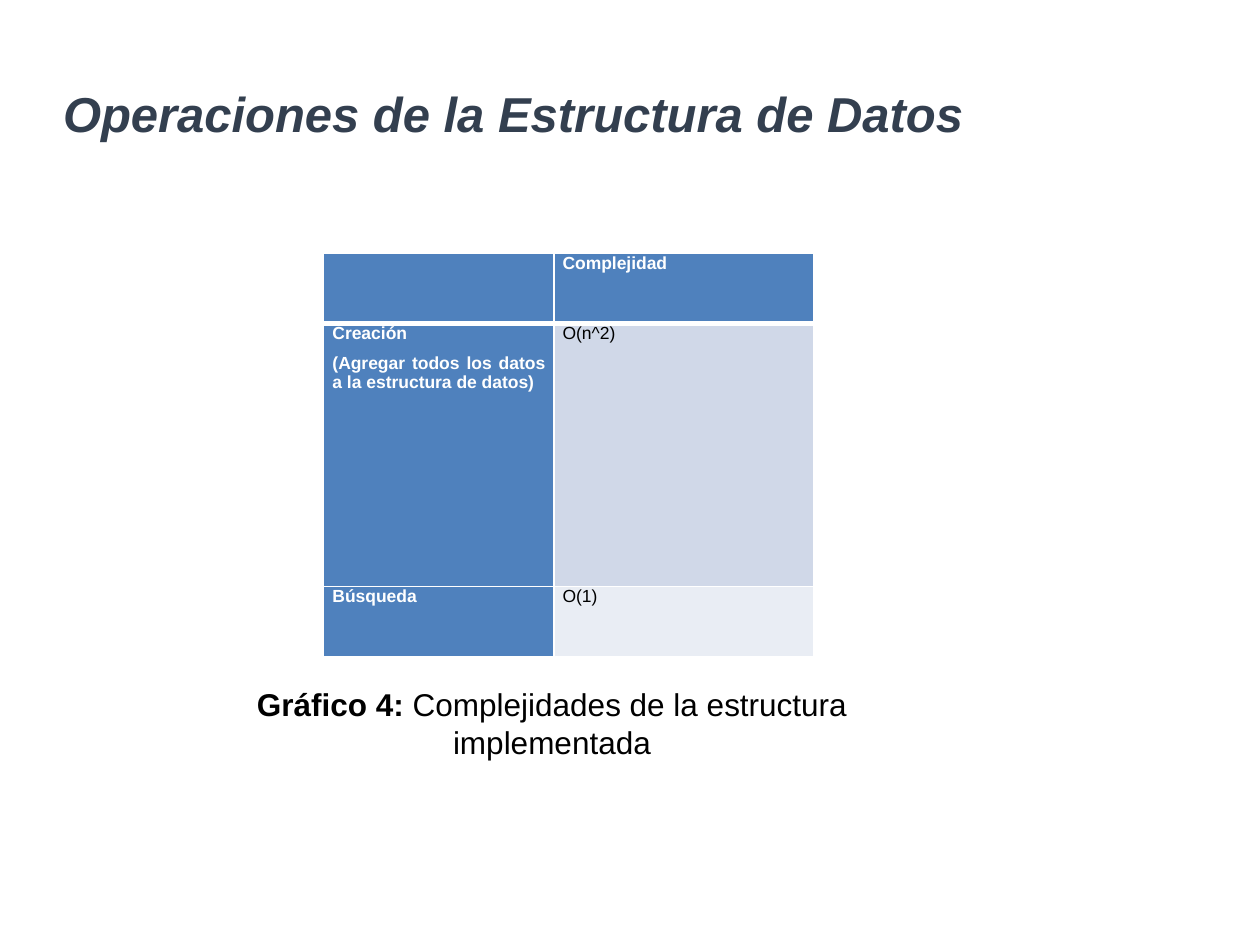
from dataclasses import dataclass
from typing import Any

from lxml.etree import SubElement
from pptx import Presentation
from pptx.dml.color import RGBColor
from pptx.enum.text import MSO_ANCHOR, MSO_AUTO_SIZE, PP_ALIGN
from pptx.oxml.ns import qn
from pptx.util import Pt

HUES = {"title": "333F4F", "head": "4F81BD", "band": "D0D8E8",
        "pale": "E9EDF4", "white": "FFFFFF", "black": "000000"}


@dataclass
class Entry:
    lines: tuple[str, ...]
    fill: str
    ink: str = "white"
    bold: bool = True


def apply(item: Any, form: dict[str, Any]) -> None:
    for name, value in form.items():
        setattr(item, name, value)


def write(para: Any, text: str, size: float, ink: str, **form: Any) -> None:
    run = para.add_run()
    run.text = text
    apply(run.font, {"name": "Arial", "size": Pt(size), **form})
    run.font.color.rgb = RGBColor.from_string(HUES[ink])


def border(cell: Any, widths: dict[str, float]) -> None:
    props = cell._tc.get_or_add_tcPr()
    for spot, (side, width) in enumerate(widths.items()):
        line = SubElement(props, qn(f"a:ln{side}"), w=str(Pt(width)))
        paint = SubElement(line, qn("a:solidFill"))
        SubElement(paint, qn("a:srgbClr"), val=HUES["white"])
        props.insert(spot, line)


def draw(cell: Any, entry: Entry, top: float, base: float) -> None:
    cell.fill.solid()
    cell.fill.fore_color.rgb = RGBColor.from_string(HUES[entry.fill])
    border(cell, {"L": 1, "R": 1, "T": top, "B": base})
    if not entry.lines:
        return
    apply(cell, {"margin_left": Pt(5), "margin_right": Pt(5),
                 "margin_top": 0, "margin_bottom": 0})
    for index, text in enumerate(entry.lines):
        frame = cell.text_frame
        para = frame.add_paragraph() if index else frame.paragraphs[0]
        apply(para, {"alignment": PP_ALIGN.JUSTIFY, "space_after": Pt(6)})
        write(para, text, 10, entry.ink, bold=entry.bold)


GRID = [
    [Entry((), "head"), Entry(("Complejidad",), "head")],
    [Entry(("Creación", "(Agregar todos los datos a la estructura de datos)"), "head"),
     Entry(("O(n^2)",), "band", "black", False)],
    [Entry(("Búsqueda",), "head"), Entry(("O(1)",), "pale", "black", False)],
]
COLS = [131.5, 148.5]
ROWS = [40, 150.4, 40]


def main() -> None:
    deck = Presentation()
    apply(deck, {"slide_width": Pt(720), "slide_height": Pt(540)})
    slide = deck.slides.add_slide(deck.slide_layouts[5])

    # Title
    title = slide.shapes.title
    apply(title, {"left": Pt(36), "top": Pt(21.6), "width": Pt(648), "height": Pt(90)})
    frame = title.text_frame
    apply(frame, {"margin_left": 0, "margin_right": 0, "margin_top": 0,
                  "margin_bottom": 0, "word_wrap": True,
                  "vertical_anchor": MSO_ANCHOR.MIDDLE})
    para = frame.paragraphs[0]
    apply(para, {"alignment": PP_ALIGN.LEFT, "line_spacing": 0.9})
    write(para, "Operaciones de la Estructura de Datos", 28, "title",
          bold=True, italic=True)

    # Complexity table, with a thick rule under its header
    table = slide.shapes.add_table(len(ROWS), len(COLS), Pt(185), Pt(144.8),
                                   Pt(sum(COLS)), Pt(sum(ROWS))).table
    for col, width in zip(table.columns, COLS):
        col.width = Pt(width)
    for row, height in zip(table.rows, ROWS):
        row.height = Pt(height)
    for r, entries in enumerate(GRID):
        for c, entry in enumerate(entries):
            draw(table.cell(r, c), entry, 3 if r == 1 else 1, 3 if r == 0 else 1)

    # Caption
    box = slide.shapes.add_textbox(Pt(135.4), Pt(388), Pt(360), Pt(51))
    apply(box.text_frame, {"word_wrap": True,
                           "auto_size": MSO_AUTO_SIZE.SHAPE_TO_FIT_TEXT})
    para = box.text_frame.paragraphs[0]
    para.alignment = PP_ALIGN.CENTER
    write(para, "Gráfico 4: ", 18, "black", bold=True)
    write(para, "Complejidades de la estructura implementada", 18, "black", bold=False)

    deck.save("out.pptx")


if __name__ == "__main__":
    main()
